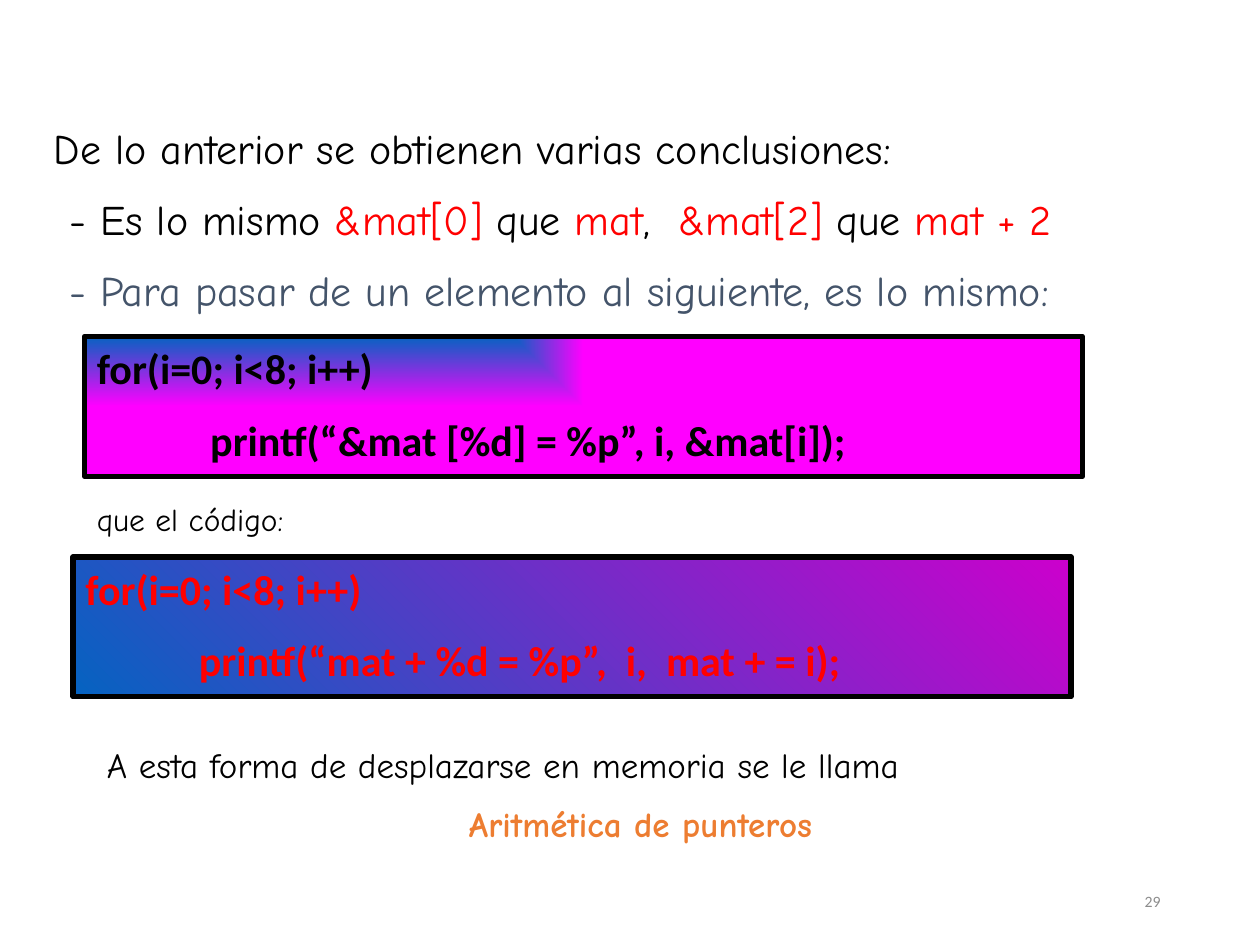
import pptx
import pptx.util
import pptx.dml.color
import pptx.enum.shapes
import pptx.enum.text
import pptx.oxml
import pptx.oxml.ns
from dataclasses import dataclass

Inches = pptx.util.Inches
Pt = pptx.util.Pt
Align = pptx.enum.text.PP_ALIGN
Anchor = pptx.enum.text.MSO_ANCHOR
Fit = pptx.enum.text.MSO_AUTO_SIZE


@dataclass(frozen=True)
class Theme:
    black: str = "000000"
    red: str = "FF0000"
    slate: str = "44546A"
    orange: str = "ED7D31"
    gray: str = "8C8C8C"
    blue: str = "0563C1"
    pink: str = "FF00FF"
    plum: str = "CC00CC"
    hand: str = "Comic Neue"
    sans: str = "Calibri"
    large: int = 24
    medium: int = 20
    small: int = 18
    tiny: int = 9
    border: int = 3


def paint(color, value):
    color.rgb = pptx.dml.color.RGBColor.from_string(value)


def line(*parts, indent=0, align=Align.LEFT, bold=False):
    return parts, indent, align, bold


class Deck:
    def __init__(self, theme):
        self.theme = theme
        self.file = pptx.Presentation()
        self.file.slide_width = Inches(10)
        self.file.slide_height = Inches(7.5)
        self.slide = self.file.slides.add_slide(self.file.slide_layouts[6])

    def fill_text(self, shape, lines, size, font):
        frame = shape.text_frame
        frame.word_wrap = True
        frame.auto_size = Fit.SHAPE_TO_FIT_TEXT
        frame.vertical_anchor = Anchor.TOP
        for index, (parts, indent, align, bold) in enumerate(lines):
            para = frame.add_paragraph() if index else frame.paragraphs[0]
            para.alignment = align
            para.space_before = Pt(size / 2 if index else 0)
            props = para._p.get_or_add_pPr()
            props.set("marL", str(Inches(indent)))
            props.set("indent", "0")
            for text, color in parts:
                run = para.add_run()
                run.text = text
                run.font.size = Pt(size)
                run.font.name = font
                run.font.bold = bold
                paint(run.font.color, color)
        return frame

    def text(self, box, lines, size, font=None):
        shape = self.slide.shapes.add_textbox(*map(Inches, box))
        return self.fill_text(shape, lines, size, font or self.theme.hand)

    def code(self, left, top, head, body, ink, end, corner=False):
        theme = self.theme
        shape = self.slide.shapes.add_shape(
            pptx.enum.shapes.MSO_SHAPE.RECTANGLE,
            *map(Inches, (left, top, 7.92, 1.11)))
        shape.shadow.inherit = False
        shape.line.width = Pt(theme.border)
        paint(shape.line.color, theme.black)
        shape.fill.gradient()
        for stop, color in zip(shape.fill.gradient_stops, (theme.blue, end)):
            paint(stop.color, color)
        shape.fill.gradient_angle = 45
        if corner:
            grad = shape._element.spPr.find(pptx.oxml.ns.qn("a:gradFill"))
            grad.replace(
                grad.find(pptx.oxml.ns.qn("a:lin")),
                pptx.oxml.parse_xml(
                    f'<a:path {pptx.oxml.ns.nsdecls("a")} path="rect">'
                    '<a:fillToRect r="100000" b="100000"/></a:path>'))
        lines = [line((head, ink), bold=True),
                 line((body, ink), indent=0.9, bold=True)]
        self.fill_text(shape, lines, theme.large, theme.sans)


theme = Theme()
deck = Deck(theme)
black, red = theme.black, theme.red

number = deck.text((7.06, 6.95, 2.25, 0.4),
                   [line(("29", theme.gray), align=Align.RIGHT)],
                   theme.tiny, theme.sans)
number.auto_size = Fit.NONE
number.vertical_anchor = Anchor.MIDDLE

deck.text((0, 0.92, 9.75, 1.72), [
    line(("De lo anterior se obtienen varias conclusiones:", black),
         indent=0.33),
    line(("- Es lo mismo ", black), ("&mat[0]", red), (" que ", black),
         ("mat", red), (",  ", black), ("&mat[2]", red),
         (" que ", black), ("mat + 2", red), indent=0.45),
    line(("- Para pasar de un elemento al siguiente, es lo mismo:",
          theme.slate), indent=0.45),
], theme.large)

loop = "for(i=0; i<8; i++)"
deck.code(0.67, 2.67, loop, "printf(“&mat [%d] = %p”, i, &mat[i]);",
          black, theme.pink, corner=True)
deck.text((0.67, 3.92, 3.33, 0.5),
          [line(("que el código:", black))], theme.small)
deck.code(0.58, 4.42, loop, "printf(“mat + %d = %p”,  i,  mat + = i);",
          red, theme.plum)

deck.text((0.75, 5.85, 8.67, 0.94), [
    line(("A esta forma de desplazarse en memoria se le llama", black)),
    line(("Aritmética de punteros", theme.orange),
         align=Align.CENTER, bold=True),
], theme.medium)

deck.file.save("out.pptx")
